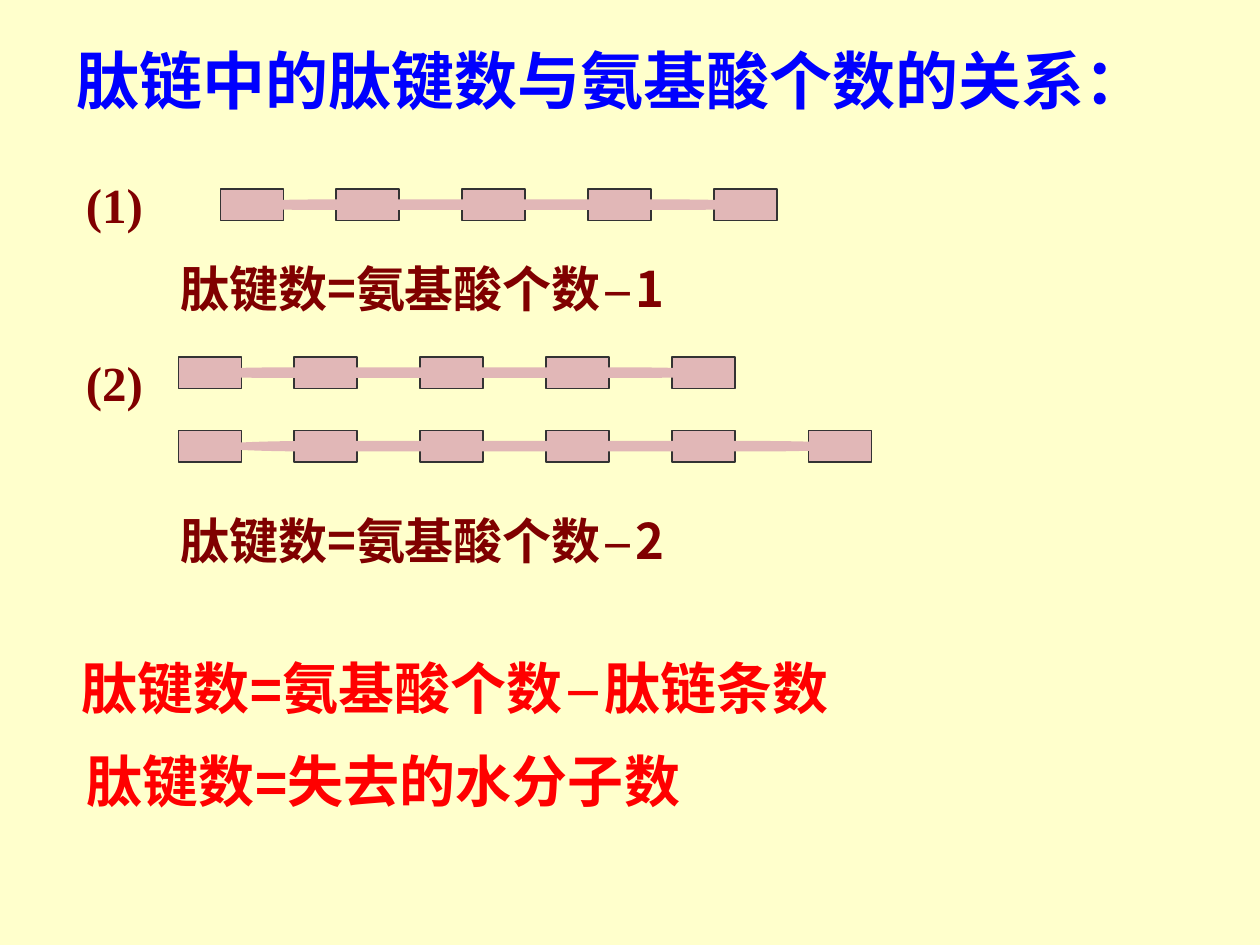
from lxml import etree
from pptx import Presentation
from pptx.dml.color import RGBColor
from pptx.enum.shapes import MSO_SHAPE
from pptx.enum.text import MSO_ANCHOR, MSO_AUTO_SIZE
from pptx.oxml.ns import qn
from pptx.util import Pt

TOP, MIDDLE = MSO_ANCHOR.TOP, MSO_ANCHOR.MIDDLE
BLOCK, BOND = MSO_SHAPE.RECTANGLE, MSO_SHAPE.FLOWCHART_TERMINATOR
FIT_SHAPE = MSO_AUTO_SIZE.SHAPE_TO_FIT_TEXT

COLORS = {
    "background": "FFFFCC", "title": "0000FF", "example": "800000",
    "rule": "FF0000", "residue": "E1B7B7", "outline": "333333",
}
SANS, SERIF, CJK = "Arial", "Times New Roman", "Noto Sans CJK SC"


def example_formula(chain_count):
    return [("肽键数=氨基酸个数", 28, CJK), ("－", 20, CJK), (chain_count, 28, CJK)]


# Texts: left, top, width, height, anchor, color, runs (text, size, font)
TEXTS = [
    (36.5, 20, 669, 50.5, TOP, "title",
     [("肽链中的肽键数与氨基酸个数的关系：", 36, SANS)]),
    (42, 96, 48, 41, MIDDLE, "example", [("(1)", 28, SERIF)]),
    (96, 144, 522, 41, MIDDLE, "example", example_formula("1")),
    (42, 198, 48, 41, MIDDLE, "example", [("(2)", 28, SERIF)]),
    (96, 288, 522, 41, MIDDLE, "example", example_formula("2")),
    (39.5, 369.5, 680, 46, MIDDLE, "rule",
     [("肽键数=", 32, SANS), ("氨基酸个数", 32, SERIF),
      ("－", 24, SANS), ("肽链条数", 32, SERIF)]),
    (42.5, 423, 522, 46, MIDDLE, "rule",
     [("肽键数=失去的水分子", 32, SANS), ("数", 32, SERIF)]),
]

# Peptide chains: left, top, residues, bond inset, bond width
CHAINS = [
    (126, 108, 5, 6, 306),
    (102, 204, 5, 6, 306),
    (102, 246, 6, 18, 372),
]
RESIDUE_OFFSETS = [0, 66, 138, 210, 282, 360]
RESIDUE_W, RESIDUE_H, BOND_H = 36, 18, 6


def rgb(name):
    return RGBColor.from_string(COLORS[name])


def add_part(group, kind, left, top, width, height):
    part = group.shapes.add_shape(kind, Pt(left), Pt(top), Pt(width), Pt(height))
    part.shadow.inherit = False
    part.fill.solid()
    part.fill.fore_color.rgb = rgb("residue")
    return part


def add_chain(slide, left, top, residues, bond_inset, bond_width):
    chain = slide.shapes.add_group_shape()
    for offset in RESIDUE_OFFSETS[:residues]:
        residue = add_part(chain, BLOCK, left + offset, top, RESIDUE_W, RESIDUE_H)
        residue.line.color.rgb = rgb("outline")
        residue.line.width = Pt(0.75)
    bond_top = top + (RESIDUE_H - BOND_H) / 2
    bond = add_part(chain, BOND, left + bond_inset, bond_top, bond_width, BOND_H)
    bond.line.fill.background()


def add_text(slide, left, top, width, height, anchor, color, runs):
    box = slide.shapes.add_textbox(Pt(left), Pt(top), Pt(width), Pt(height))
    frame = box.text_frame
    frame.word_wrap = True
    frame.auto_size = FIT_SHAPE
    frame.vertical_anchor = anchor
    for text, size, font_name in runs:
        run = frame.paragraphs[0].add_run()
        run.text = text
        run.font.size = Pt(size)
        run.font.bold = True
        run.font.color.rgb = rgb(color)
        run.font.name = font_name
        # East Asian characters take their own typeface
        east_asian = etree.SubElement(run.font._element, qn("a:ea"))
        east_asian.set("typeface", CJK)


def main():
    deck = Presentation()
    deck.slide_width, deck.slide_height = Pt(720), Pt(540)
    slide = deck.slides.add_slide(deck.slide_layouts[6])
    slide.background.fill.solid()
    slide.background.fill.fore_color.rgb = rgb("background")
    for chain in CHAINS:
        add_chain(slide, *chain)
    for text in TEXTS:
        add_text(slide, *text)
    deck.save("out.pptx")


if __name__ == "__main__":
    main()
